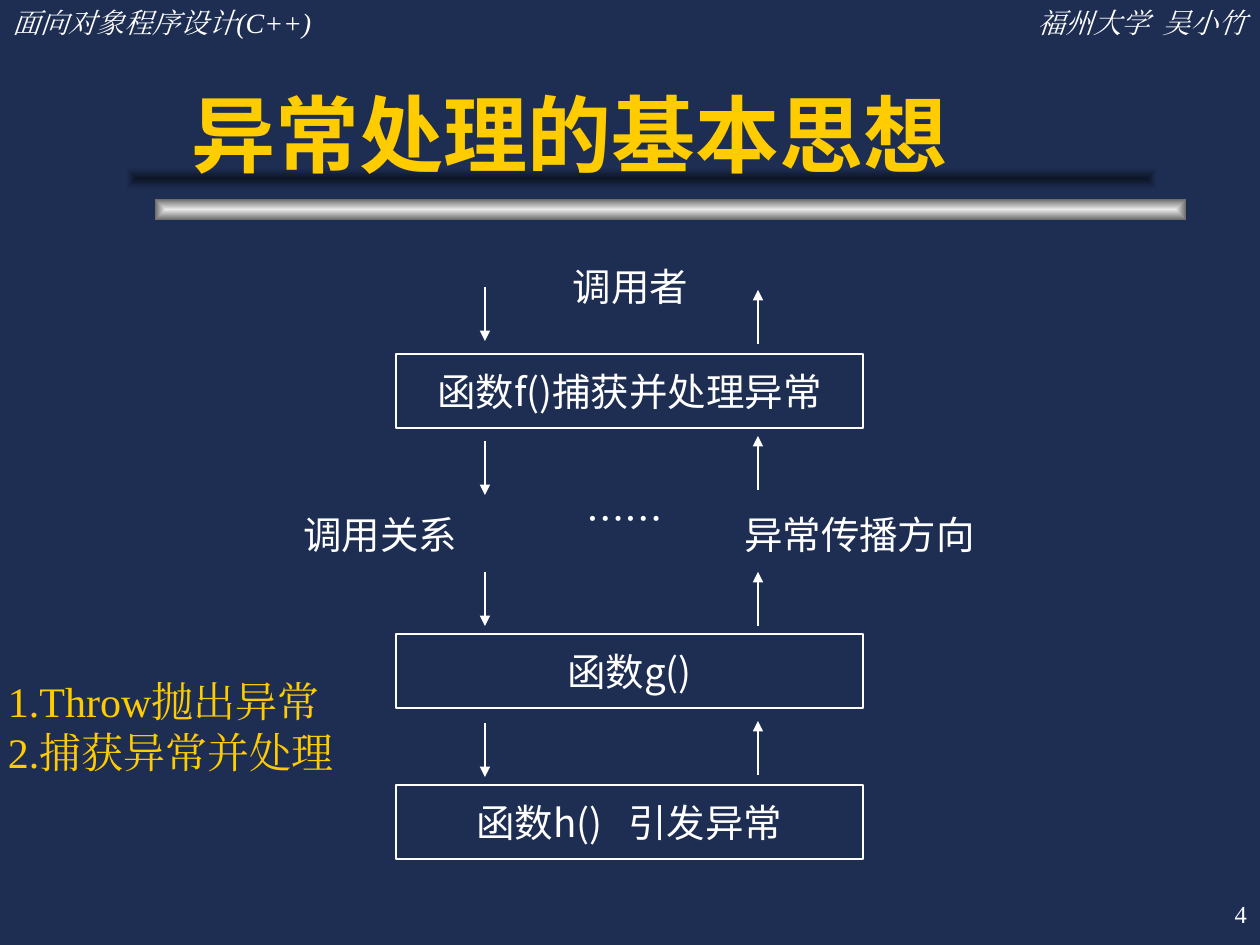
from lxml import etree
from pptx import Presentation
from pptx.dml.color import RGBColor
from pptx.enum import shapes, text
from pptx.oxml.ns import qn
from pptx.util import Pt

PX = 914400 // 126
COLORS = {"night": "1E2E53", "shade": "0D1526", "silver": "EAEAEA",
          "steel": "6B6B6B", "white": "FFFFFF", "gold": "FFCC00"}
COLORS = {name: RGBColor.from_string(value) for name, value in COLORS.items()}
SERIF, SANS = "Times New Roman", "Noto Sans CJK SC"
LEFT, CENTER, RIGHT = text.PP_ALIGN.LEFT, text.PP_ALIGN.CENTER, text.PP_ALIGN.RIGHT
TOP, MIDDLE, BOTTOM = text.MSO_ANCHOR.TOP, text.MSO_ANCHOR.MIDDLE, text.MSO_ANCHOR.BOTTOM


def place(*lengths):
    return [length * PX for length in lengths]


def write(shape, lines, size, font, color="white", align=CENTER, anchor=MIDDLE,
          inset=(13, 0), wrap=True, **style):
    """Fill a shape with formatted lines; inset is (sides, top and bottom)."""
    frame = shape.text_frame
    side, end = place(*inset)
    settings = {"margin_left": side, "margin_right": side, "margin_top": end,
                "margin_bottom": end, "vertical_anchor": anchor, "word_wrap": wrap,
                "auto_size": text.MSO_AUTO_SIZE.NONE}
    for name, value in settings.items():
        setattr(frame, name, value)
    frame.text = lines
    for para in frame.paragraphs:
        para.alignment = align
        for span in para.runs:
            for name, value in {"size": Pt(size), "name": font, **style}.items():
                setattr(span.font, name, value)
            span.font.color.rgb = COLORS[color]
            east_asian = etree.SubElement(span.font._element, qn("a:ea"))
            east_asian.set("typeface", font)


deck = Presentation()
deck.slide_width, deck.slide_height = place(1260, 945)
page = deck.slides.add_slide(deck.slide_layouts[5])
page.background.fill.solid()
page.background.fill.fore_color.rgb = COLORS["night"]

# Bars under the title, shaded from the middle outwards
for left, top, inner, outer in ((155, 199, "silver", "steel"),
                                (126, 168, "shade", "night")):
    bar = page.shapes.add_shape(shapes.MSO_SHAPE.RECTANGLE,
                                *place(left, top, 1031, 21))
    bar.shadow.inherit = False
    bar.line.fill.background()
    bar.fill.gradient()
    for stop, color in zip(bar.fill.gradient_stops, (inner, outer)):
        stop.color.rgb = COLORS[color]
    gradient = bar.element.spPr.find(qn("a:gradFill"))
    gradient.remove(gradient.find(qn("a:lin")))
    focus = etree.SubElement(gradient, qn("a:path"), {"path": "rect"})
    etree.SubElement(focus, qn("a:fillToRect"), dict.fromkeys("ltrb", "50000"))

title = page.shapes.title
title.left, title.top, title.width, title.height = place(179, 32, 987, 157)
write(title, "异常处理的基本思想", 48, "Arial", "gold", LEFT, BOTTOM, (13, 6), bold=True)
page.shapes.element.append(title.element)  # in front of the bars

# Page header
for left, words, align in ((0, "面向对象程序设计(C++)", LEFT),
                           (872, "福州大学  吴小竹", RIGHT)):
    header = page.shapes.add_textbox(*place(left, 0, 388, 47))
    write(header, words, 16, SERIF, align=align, anchor=TOP, inset=(13, 6), italic=True)

# Call chain
for top, words in ((354, "函数f()捕获并处理异常"), (634, "函数g()"),
                   (785, "函数h()   引发异常")):
    box = page.shapes.add_shape(shapes.MSO_SHAPE.RECTANGLE, *place(396, top, 467, 74))
    box.shadow.inherit = False
    box.fill.background()
    box.line.color.rgb = COLORS["white"]
    box.line.width = Pt(0.75)
    write(box, words, 22, SANS)

# Calls go down on the left, exceptions travel up on the right
ARROW = 54
calls = [(485, top, top + ARROW) for top in (287, 441, 572, 723)]
throws = [(758, top + ARROW, top) for top in (290, 436, 572, 721)]
for x, start, end in calls + throws:
    arrow = page.shapes.add_connector(shapes.MSO_CONNECTOR.STRAIGHT,
                                      *place(x, start, x, end))
    arrow.line.color.rgb = COLORS["white"]
    arrow.line.width = Pt(0.75)
    etree.SubElement(arrow.line._get_or_add_ln(), qn("a:tailEnd"), {"type": "triangle"})
    etree.SubElement(arrow.element.spPr, qn("a:effectLst"))

for left, top, width, height, words in ((422, 490, 406, 57, "……"),
                                        (523, 262, 215, 49, "调用者"),
                                        (743, 510, 233, 49, "异常传播方向"),
                                        (273, 510, 215, 49, "调用关系")):
    label = page.shapes.add_textbox(*place(left, top, width, height))
    write(label, words, 22, SANS, inset=(0, 0))

steps = page.shapes.add_textbox(*place(-5, 670, 360, 113))
write(steps, "1.Throw抛出异常\n2.捕获异常并处理", 24, SERIF, "gold", LEFT, TOP,
      (13, 6), wrap=False)

number = page.shapes.add_textbox(*place(998, 882, 262, 63))
write(number, "4", 14, SERIF, align=RIGHT, inset=(13, 6))

deck.save("out.pptx")
